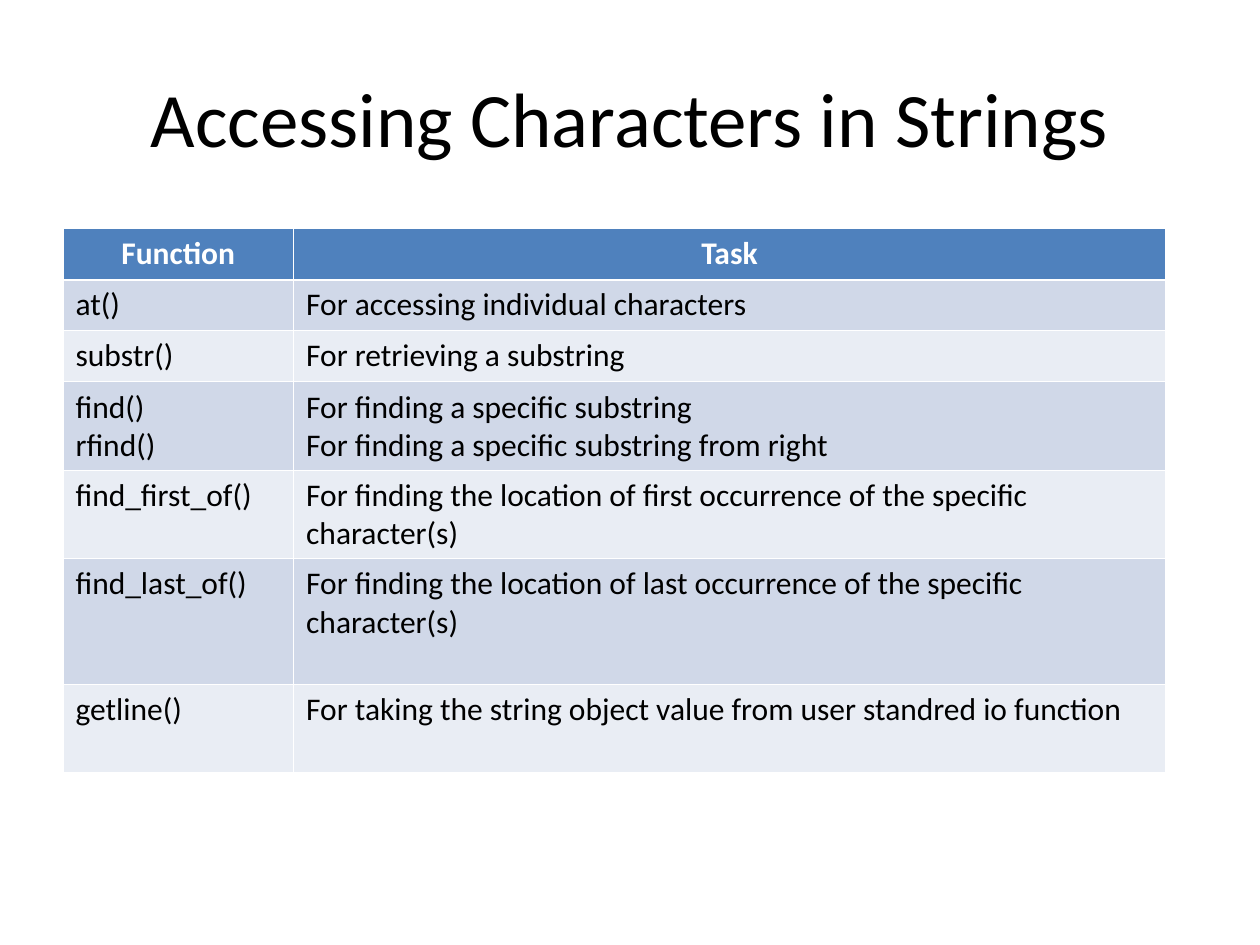
from lxml import etree
from pptx import Presentation
from pptx.dml.color import RGBColor
from pptx.enum.text import MSO_ANCHOR, PP_ALIGN
from pptx.oxml.ns import qn
from pptx.util import Inches, Pt

CENTER, LEFT = PP_ALIGN.CENTER, PP_ALIGN.LEFT
MIDDLE = MSO_ANCHOR.MIDDLE

FONT = "Calibri"
BLACK = RGBColor(0x00, 0x00, 0x00)
WHITE = RGBColor(0xFF, 0xFF, 0xFF)
BLUE = RGBColor(0x4F, 0x81, 0xBD)
BANDS = (RGBColor(0xE9, 0xED, 0xF4), RGBColor(0xD0, 0xD8, 0xE8))

THIN, THICK = Pt(0.45), Pt(1.47)
COLS = (1.83, 6.92)
# Row height, function lines, task lines
ROWS = (
    (0.41, ["Function"], ["Task"]),
    (0.4, ["at()"], ["For accessing individual characters"]),
    (0.41, ["substr()"], ["For retrieving a substring"]),
    (0.7, ["find()", "rfind()"],
     ["For finding a specific substring",
      "For finding a specific substring from right"]),
    (0.7, ["find_first_of()"],
     ["For finding the location of first occurrence of the specific character(s)"]),
    (1, ["find_last_of()"],
     ["For finding the location of last occurrence of the specific character(s)"]),
    (0.7, ["getline()"],
     ["For taking the string object value from user standred io function"]),
)


def add_text(frame, lines, size, color, align, bold=False):
    for i, line in enumerate(lines):
        para = frame.paragraphs[0] if i == 0 else frame.add_paragraph()
        para.alignment = align
        run = para.add_run()
        run.text = line
        font = run.font
        font.name, font.size, font.bold = FONT, Pt(size), bold
        font.color.rgb = color


def add_title(slide, text):
    box = slide.shapes.add_textbox(Inches(0.5), Inches(0.3), Inches(9), Inches(1.25))
    frame = box.text_frame
    frame.word_wrap = True
    frame.vertical_anchor = MIDDLE
    add_text(frame, [text], 44, BLACK, CENTER)


def set_edges(cell, top, bottom):
    props = cell._tc.get_or_add_tcPr()
    for side, width in (("L", THIN), ("R", THIN), ("T", top), ("B", bottom)):
        line = etree.SubElement(props, qn("a:ln" + side), w=str(int(width)))
        fill = etree.SubElement(line, qn("a:solidFill"))
        etree.SubElement(fill, qn("a:srgbClr"), val=str(WHITE))


def fill_cell(cell, lines, row):
    head = row == 0
    set_edges(cell, THICK if row == 1 else THIN, THICK if head else THIN)
    cell.fill.solid()
    cell.fill.fore_color.rgb = BLUE if head else BANDS[row % 2]
    add_text(cell.text_frame, lines, 18, WHITE if head else BLACK,
             CENTER if head else LEFT, head)


def add_grid(slide):
    high = sum(row[0] for row in ROWS)
    table = slide.shapes.add_table(
        len(ROWS), len(COLS), Inches(0.5), Inches(1.81),
        Inches(sum(COLS)), Inches(high)).table
    for col, width in zip(table.columns, COLS):
        col.width = Inches(width)
    for r, (height, *texts) in enumerate(ROWS):
        table.rows[r].height = Inches(height)
        for c, lines in enumerate(texts):
            fill_cell(table.cell(r, c), lines, r)


def main():
    deck = Presentation()
    deck.slide_width, deck.slide_height = Inches(10), Inches(7.5)
    slide = deck.slides.add_slide(deck.slide_layouts[6])
    # Heading
    add_title(slide, "Accessing Characters in Strings")
    # Function table
    add_grid(slide)
    deck.save("out.pptx")


if __name__ == "__main__":
    main()
